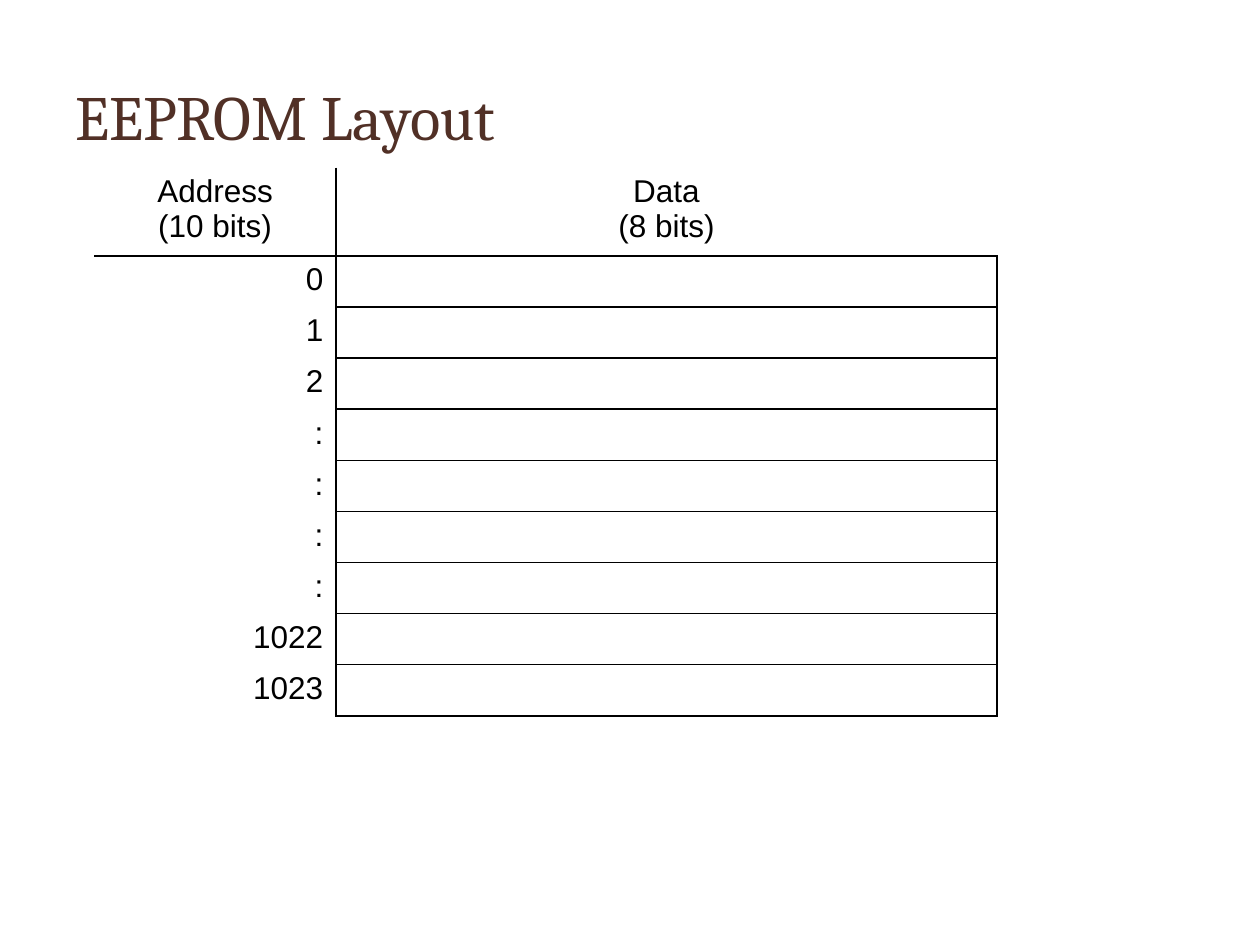
from dataclasses import dataclass

from lxml.etree import SubElement
from pptx import Presentation
from pptx.dml.color import RGBColor
from pptx.enum.text import MSO_ANCHOR, PP_ALIGN
from pptx.oxml.ns import qn
from pptx.slide import Slide
from pptx.table import _Cell
from pptx.text.text import _Paragraph
from pptx.util import Cm, Pt

BLACK = RGBColor(0x00, 0x00, 0x00)
BROWN = RGBColor(0x51, 0x30, 0x26)
ADDRESSES = ["0", "1", "2", ":", ":", ":", ":", "1022", "1023"]
COLUMN_WIDTHS = [Cm(4.87), Cm(13.33)]
ROW_HEIGHT = Cm(1.03)  # the header row grows to hold its two lines


@dataclass(frozen=True)
class CellContent:
    lines: tuple[str, ...]
    alignment: PP_ALIGN
    borders: str  # any of L, R, T, B


def add_text(paragraph: _Paragraph, text: str, font_name: str,
             size: int, color: RGBColor) -> None:
    run = paragraph.add_run()
    run.text = text
    run.font.name = font_name
    run.font.size = Pt(size)
    run.font.color.rgb = color


def set_borders(cell: _Cell, sides: str) -> None:
    properties = cell._tc.get_or_add_tcPr()
    for index, side in enumerate("LRTB"):
        line = SubElement(properties, qn(f"a:ln{side}"), w=str(Pt(1)))
        properties.insert(index, line)
        if side in sides:
            fill = SubElement(line, qn("a:solidFill"))
            SubElement(fill, qn("a:srgbClr"), val=str(BLACK))
        else:
            SubElement(line, qn("a:noFill"))


def fill_cell(cell: _Cell, content: CellContent) -> None:
    cell.fill.background()
    set_borders(cell, content.borders)
    for index, line in enumerate(content.lines):
        frame = cell.text_frame
        paragraph = frame.add_paragraph() if index else frame.paragraphs[0]
        paragraph.alignment = content.alignment
        add_text(paragraph, line, "Arial", 18, BLACK)


def add_title(slide: Slide, text: str) -> None:
    box = slide.shapes.add_textbox(Cm(1.27), Cm(1.27), Cm(22.86), Cm(2.12))
    frame = box.text_frame
    frame.word_wrap = True
    frame.vertical_anchor = MSO_ANCHOR.MIDDLE
    add_text(frame.paragraphs[0], text, "Cambria", 36, BROWN)


def add_memory_table(slide: Slide) -> None:
    rows = [(
        CellContent(("Address", "(10 bits)"), PP_ALIGN.CENTER, "RB"),
        CellContent(("Data", "(8 bits)"), PP_ALIGN.CENTER, "LB"),
    )]
    for index, address in enumerate(ADDRESSES):
        rows.append((
            CellContent((address,), PP_ALIGN.RIGHT, "R" if index else "RT"),
            CellContent((), PP_ALIGN.LEFT, "LRTB"),
        ))

    table = slide.shapes.add_table(
        len(rows), len(COLUMN_WIDTHS), Cm(1.9), Cm(3.38),
        sum(COLUMN_WIDTHS), ROW_HEIGHT * len(rows)).table
    table.first_row = False
    table.horz_banding = False
    for column, width in zip(table.columns, COLUMN_WIDTHS):
        column.width = width
    for row, contents in zip(table.rows, rows):
        row.height = ROW_HEIGHT
        for cell, content in zip(row.cells, contents):
            fill_cell(cell, content)


def main() -> None:
    presentation = Presentation()
    presentation.slide_width = Cm(25.4)
    presentation.slide_height = Cm(19.05)
    slide = presentation.slides.add_slide(presentation.slide_layouts[6])

    # Heading
    add_title(slide, "EEPROM Layout")
    # Address and data cells
    add_memory_table(slide)

    presentation.save("out.pptx")


if __name__ == "__main__":
    main()
